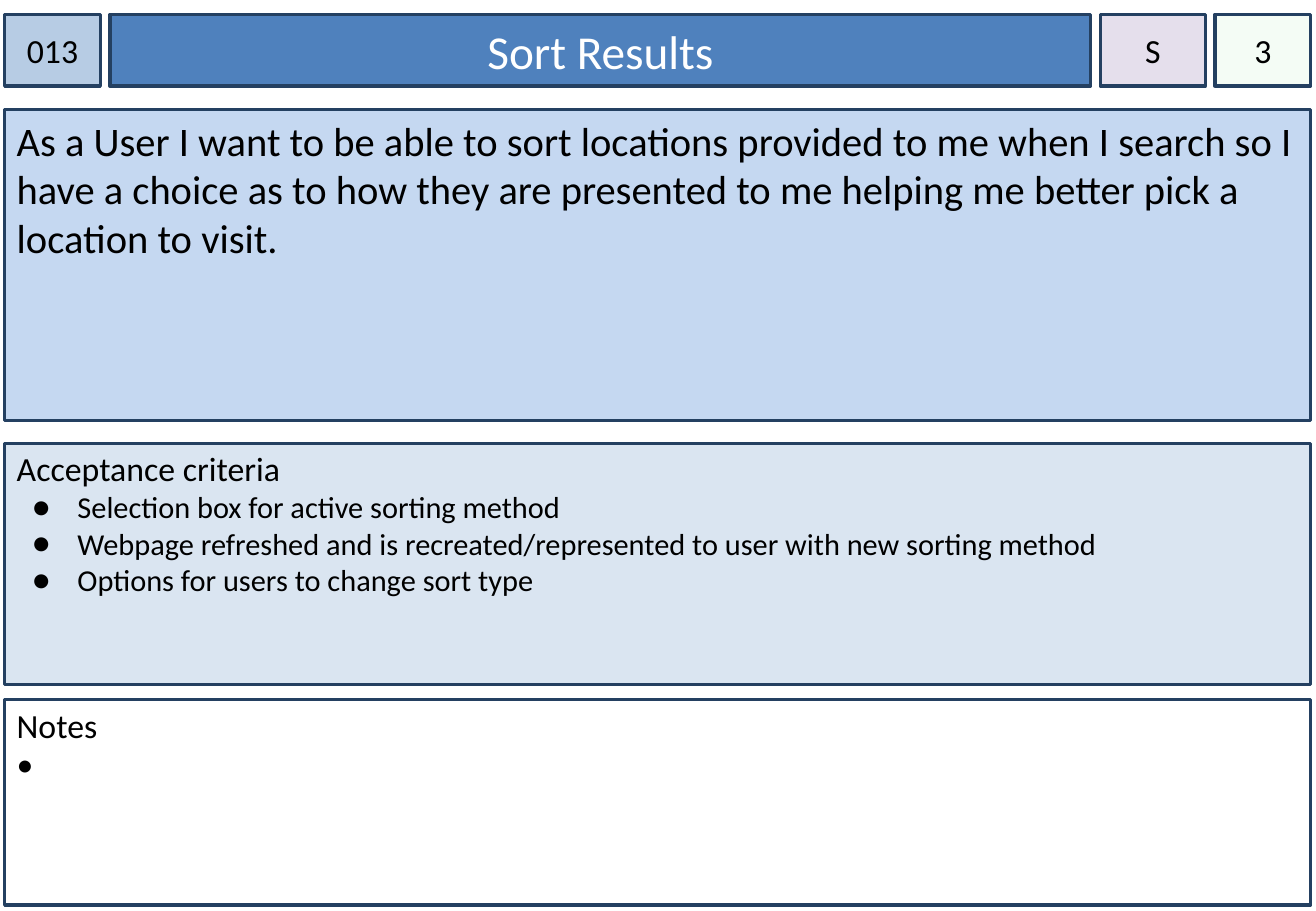
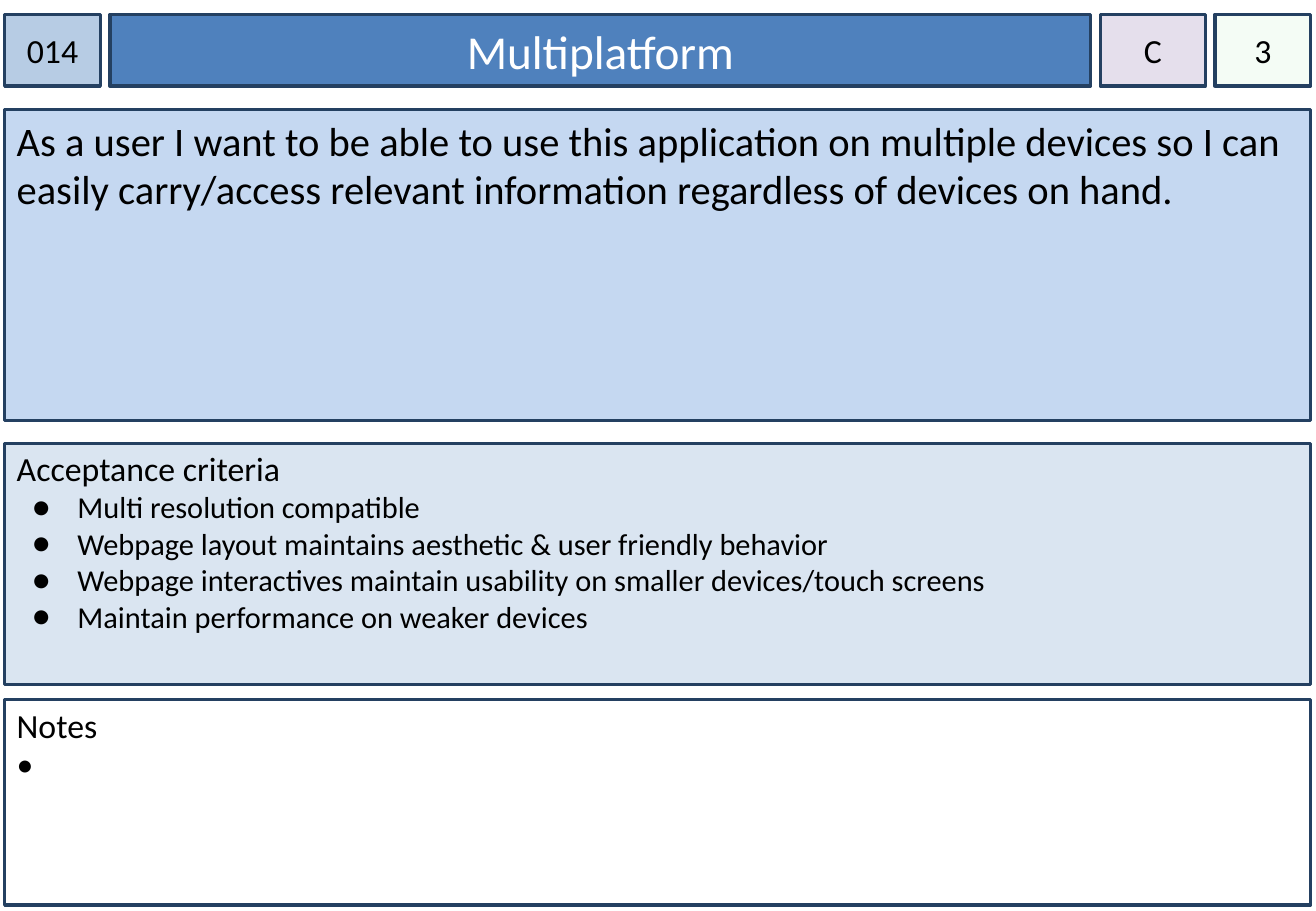
import pptx
import pptx.util
import pptx.dml.color
import pptx.enum.shapes
import pptx.enum.text
import pptx.oxml.ns
from lxml import etree

Cm, Pt = pptx.util.Cm, pptx.util.Pt
RGBColor = pptx.dml.color.RGBColor
ALIGN = pptx.enum.text.PP_ALIGN
ANCHOR = pptx.enum.text.MSO_ANCHOR

# Shared look
FONT = "Calibri"
BLACK = RGBColor(0x00, 0x00, 0x00)
WHITE = RGBColor(0xFF, 0xFF, 0xFF)
NAVY = RGBColor(0x24, 0x40, 0x61)
TITLE_BLUE = RGBColor(0x4F, 0x81, 0xBD)
ID_BLUE = RGBColor(0xB7, 0xCC, 0xE4)
STORY_BLUE = RGBColor(0xC5, 0xD8, 0xF1)
CRITERIA_BLUE = RGBColor(0xDA, 0xE5, 0xF1)
PRIORITY_LILAC = RGBColor(0xE5, 0xDF, 0xEC)
ESTIMATE_GREEN = RGBColor(0xCC, 0xF0, 0xCD)

# Card grid in cm
LEFT, WIDTH, GAP = 0.1, 27.3, 0.2
ID_W, PRIORITY_W, ESTIMATE_W = 2.0, 2.2, 2.0
HEADER = (LEFT, 0.3, WIDTH, 1.5)
STORY = (LEFT, 2.29, WIDTH, 6.5)
CRITERIA = (LEFT, 9.27, WIDTH, 5.05)
NOTES = (LEFT, 14.63, WIDTH, 4.3)

CARDS = [
    dict(number="013", title="Sort Results", priority="S", estimate="3",
         story="As a User I want to be able to sort locations provided to me "
               "when I search so I have a choice as to how they are presented "
               "to me helping me better pick a location to visit.",
         criteria=["Selection box for active sorting method",
                   "Webpage refreshed and is recreated/represented to user "
                   "with new sorting method",
                   "Options for users to change sort type"]),
    dict(number="014", title="Multiplatform", priority="C", estimate="3",
         story="As a user I want to be able to use this application on "
               "multiple devices so I can easily carry/access relevant "
               "information regardless of devices on hand.",
         criteria=["Multi resolution compatible",
                   "Webpage layout maintains aesthetic & user friendly behavior",
                   "Webpage interactives maintain usability on smaller "
                   "devices/touch screens",
                   "Maintain performance on weaker devices"]),
]


def add_xml(parent, tag, **attrs):
    return etree.SubElement(parent, pptx.oxml.ns.qn(tag), attrs)


def add_text(tf, text, size=20, color=BLACK, align=ALIGN.LEFT,
             bullet=None, indent=0, hang=0):
    """Write one paragraph, using the empty first one if it is free."""
    p = tf.paragraphs[0] if not tf.paragraphs[0].runs else tf.add_paragraph()
    p.alignment = align
    p.space_before = Pt(0)
    pPr = p._p.get_or_add_pPr()
    pPr.set("marL", str(Cm(indent)))
    pPr.set("indent", str(-Cm(hang)))
    if bullet:
        clr = add_xml(pPr, "a:buClr")
        add_xml(clr, "a:srgbClr", val=str(BLACK))
        add_xml(pPr, "a:buFont", typeface=FONT)
        add_xml(pPr, "a:buChar", char=bullet)
    else:
        add_xml(pPr, "a:buNone")
    r = p.add_run()
    r.text = text
    r.font.name = FONT
    r.font.size = Pt(size)
    r.font.color.rgb = color


def style_panel(sp, box, fill, alpha=None, anchor=ANCHOR.TOP,
                side=0.25, top=0.13):
    """Place a shape or placeholder as a bordered panel."""
    sp.left, sp.top, sp.width, sp.height = map(Cm, box)
    sp.fill.solid()
    sp.fill.fore_color.rgb = fill
    if alpha is not None:
        clr = sp._element.spPr.find(".//" + pptx.oxml.ns.qn("a:srgbClr"))
        add_xml(clr, "a:alpha", val=str(alpha * 1000))
    sp.line.color.rgb = NAVY
    sp.line.width = Pt(2)
    sp.shadow.inherit = False
    tf = sp.text_frame
    tf.word_wrap = True
    tf.auto_size = pptx.enum.text.MSO_AUTO_SIZE.NONE
    tf.vertical_anchor = anchor
    tf.margin_left = tf.margin_right = Cm(side)
    tf.margin_top, tf.margin_bottom = Cm(top), Cm(0.13)
    return tf


def add_panel(slide, box, fill, **fmt):
    sp = slide.shapes.add_shape(pptx.enum.shapes.MSO_SHAPE.RECTANGLE,
                                *map(Cm, box))
    return style_panel(sp, box, fill, **fmt)


def add_header(slide, box, card):
    """Number, title, priority and estimate in one row."""
    left, top, width, height = box
    title_w = width - ID_W - PRIORITY_W - ESTIMATE_W - 3 * GAP
    cells = [
        (card["number"], ID_W, ID_BLUE, None),
        (card["title"], title_w, TITLE_BLUE, None),
        (card["priority"], PRIORITY_W, PRIORITY_LILAC, None),
        (card["estimate"], ESTIMATE_W, ESTIMATE_GREEN, 20),
    ]
    for text, cell_w, fill, alpha in cells:
        cell = (left, top, cell_w, height)
        if fill == TITLE_BLUE:
            tf = style_panel(slide.shapes.title, cell, fill,
                             anchor=ANCHOR.MIDDLE)
            add_text(tf, text, size=28, color=WHITE, align=ALIGN.CENTER)
        else:
            tf = add_panel(slide, cell, fill, alpha=alpha,
                           anchor=ANCHOR.MIDDLE, side=0)
            add_text(tf, text, align=ALIGN.CENTER)
        left += cell_w + GAP


def add_story(slide, box, story):
    add_text(add_panel(slide, box, STORY_BLUE), story, size=24)


def add_criteria(slide, box, criteria):
    tf = style_panel(slide.placeholders[1], box, CRITERIA_BLUE, top=0.1)
    add_text(tf, "Acceptance criteria")
    for item in criteria:
        add_text(tf, item, size=18, bullet="●", indent=1.27, hang=0.95)


def add_notes(slide, box):
    tf = add_panel(slide, box, WHITE, top=0.1)
    add_text(tf, "Notes")
    add_text(tf, " ", bullet="•", indent=0.5, hang=0.5)


def add_card(prs, card):
    slide = prs.slides.add_slide(prs.slide_layouts[1])
    add_header(slide, HEADER, card)
    add_story(slide, STORY, card["story"])
    add_criteria(slide, CRITERIA, card["criteria"])
    add_notes(slide, NOTES)


def main():
    prs = pptx.Presentation()
    prs.slide_width, prs.slide_height = Cm(27.51), Cm(19.05)
    for card in CARDS:
        add_card(prs, card)
    prs.save("out.pptx")


if __name__ == "__main__":
    main()
